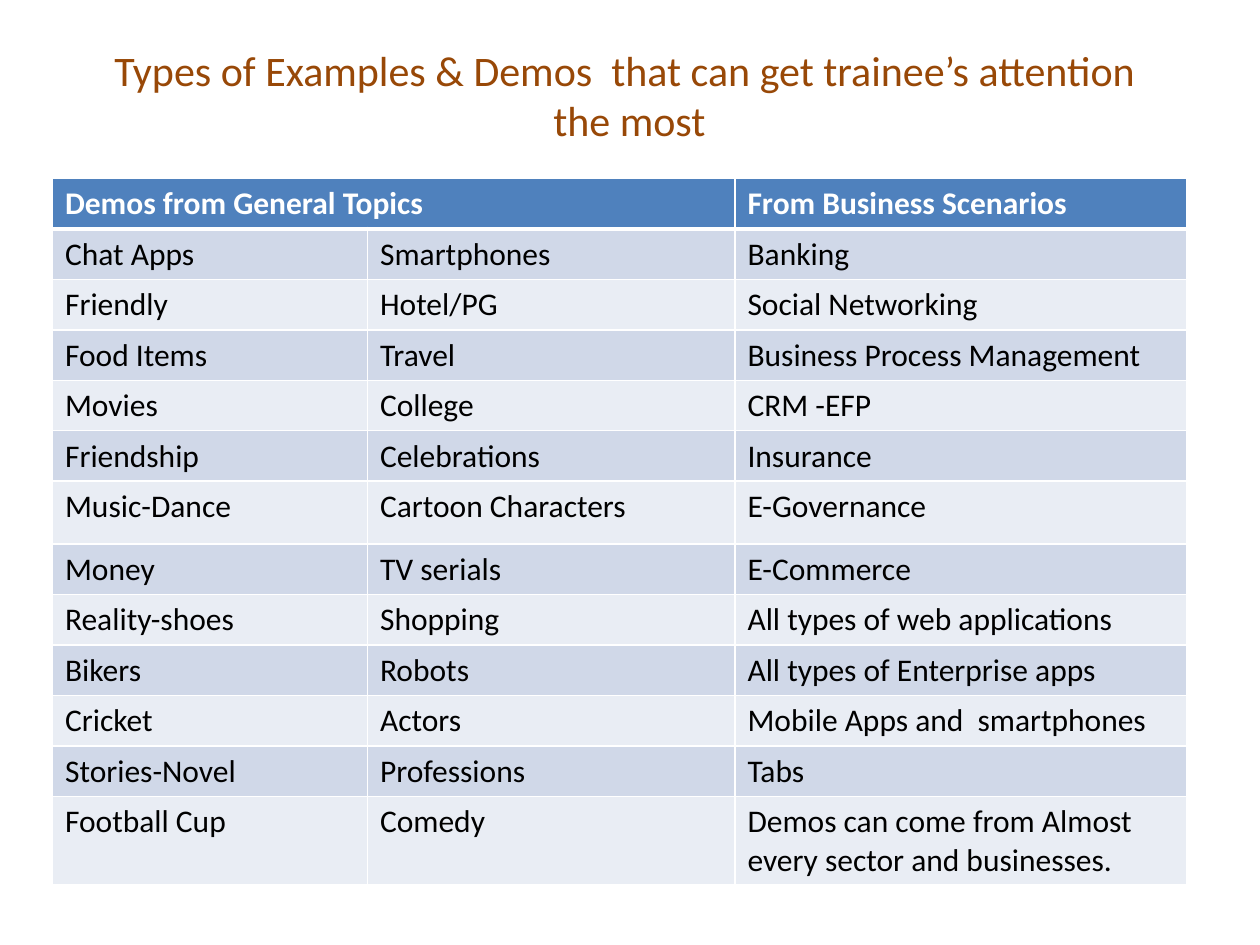
from lxml import etree
from pptx import Presentation
from pptx.dml.color import RGBColor
from pptx.enum.text import MSO_ANCHOR, PP_ALIGN
from pptx.oxml.ns import qn
from pptx.util import Inches, Pt

CENTER, LEFT = PP_ALIGN.CENTER, PP_ALIGN.LEFT
MIDDLE = MSO_ANCHOR.MIDDLE
UNIT = Inches(1) // 12


def color(value):
    return RGBColor.from_string(value)


def write(tf, text, size=18, fill="000000", bold=False, align=LEFT):
    tf.word_wrap = True
    p = tf.paragraphs[0]
    p.text = text
    p.alignment = align
    for r in p.runs:
        r.font.name = "Calibri"
        r.font.size = Pt(size)
        r.font.bold = bold
        r.font.color.rgb = color(fill)


prs = Presentation()
prs.slide_width, prs.slide_height = 120 * UNIT, 90 * UNIT
s = prs.slides.add_slide(prs.slide_layouts[6])

tf = s.shapes.add_textbox(2 * UNIT, 4 * UNIT, 115 * UNIT, 10 * UNIT).text_frame
tf.vertical_anchor = MIDDLE
write(tf, "Types of Examples & Demos  that can get trainee’s attention\n the most",
      size=24, fill="984807", align=CENTER)

rows = [
    ("Demos from General Topics", "", "From Business Scenarios"),
    ("Chat Apps", "Smartphones", "Banking"),
    ("Friendly", "Hotel/PG", "Social Networking"),
    ("Food Items", "Travel", "Business Process Management"),
    ("Movies", "College", "CRM -EFP"),
    ("Friendship", "Celebrations", "Insurance"),
    ("Music-Dance", "Cartoon Characters", "E-Governance"),
    ("Money", "TV serials", "E-Commerce"),
    ("Reality-shoes", "Shopping", "All types of web applications"),
    ("Bikers", "Robots", "All types of Enterprise apps"),
    ("Cricket", "Actors", "Mobile Apps and  smartphones"),
    ("Stories-Novel", "Professions", "Tabs"),
    ("Football Cup", "Comedy", "Demos can come from Almost every sector and businesses."),
]
widths = [30, 35, 43]
heights = [4.8] * 6 + [6] + [4.8] * 5 + [8.4]

table = s.shapes.add_table(len(rows), len(widths), 5 * UNIT, 17 * UNIT,
                           sum(widths) * UNIT, int(sum(heights) * UNIT)).table
for col, width in zip(table.columns, widths):
    col.width = width * UNIT
for row, height in zip(table.rows, heights):
    row.height = int(height * UNIT)

for i, texts in enumerate(rows):
    header = i == 0
    fill = "4F81BD" if header else ("E9EDF4", "D0D8E8")[i % 2]
    for j, text in enumerate(texts):
        cell = table.cell(i, j)
        if text:
            write(cell.text_frame, text, fill="FFFFFF" if header else "000000", bold=header)
        tcPr = cell._tc.get_or_add_tcPr()
        for side in "LRTB":
            heavy = (header and side == "B") or (i == 1 and side == "T")
            ln = etree.SubElement(tcPr, qn(f"a:ln{side}"), w=str(Pt(3 if heavy else 1)))
            solid = etree.SubElement(ln, qn("a:solidFill"))
            etree.SubElement(solid, qn("a:srgbClr"), val="FFFFFF")
        cell.fill.solid()
        cell.fill.fore_color.rgb = color(fill)
table.cell(0, 0).merge(table.cell(0, 1))

prs.save("out.pptx")
